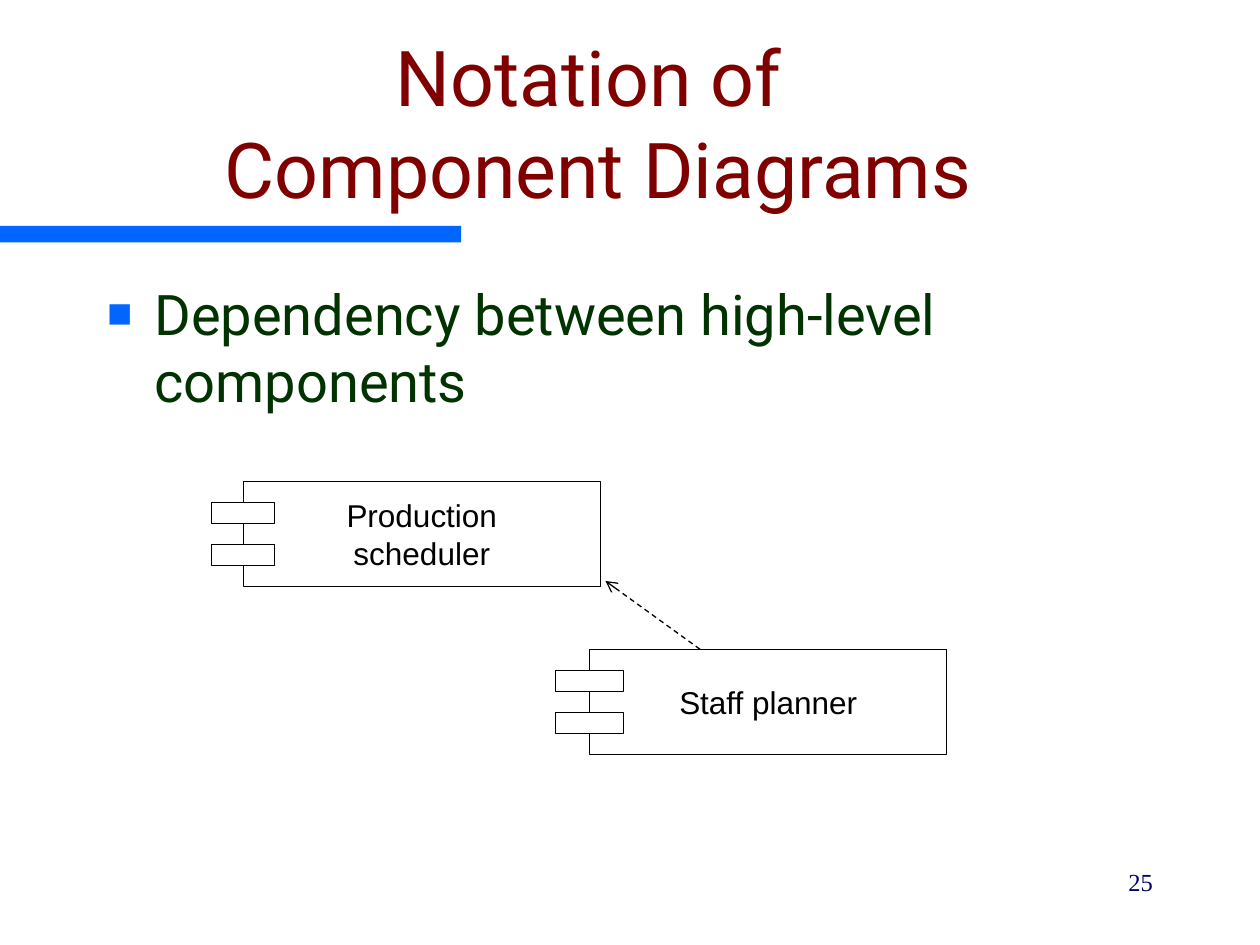
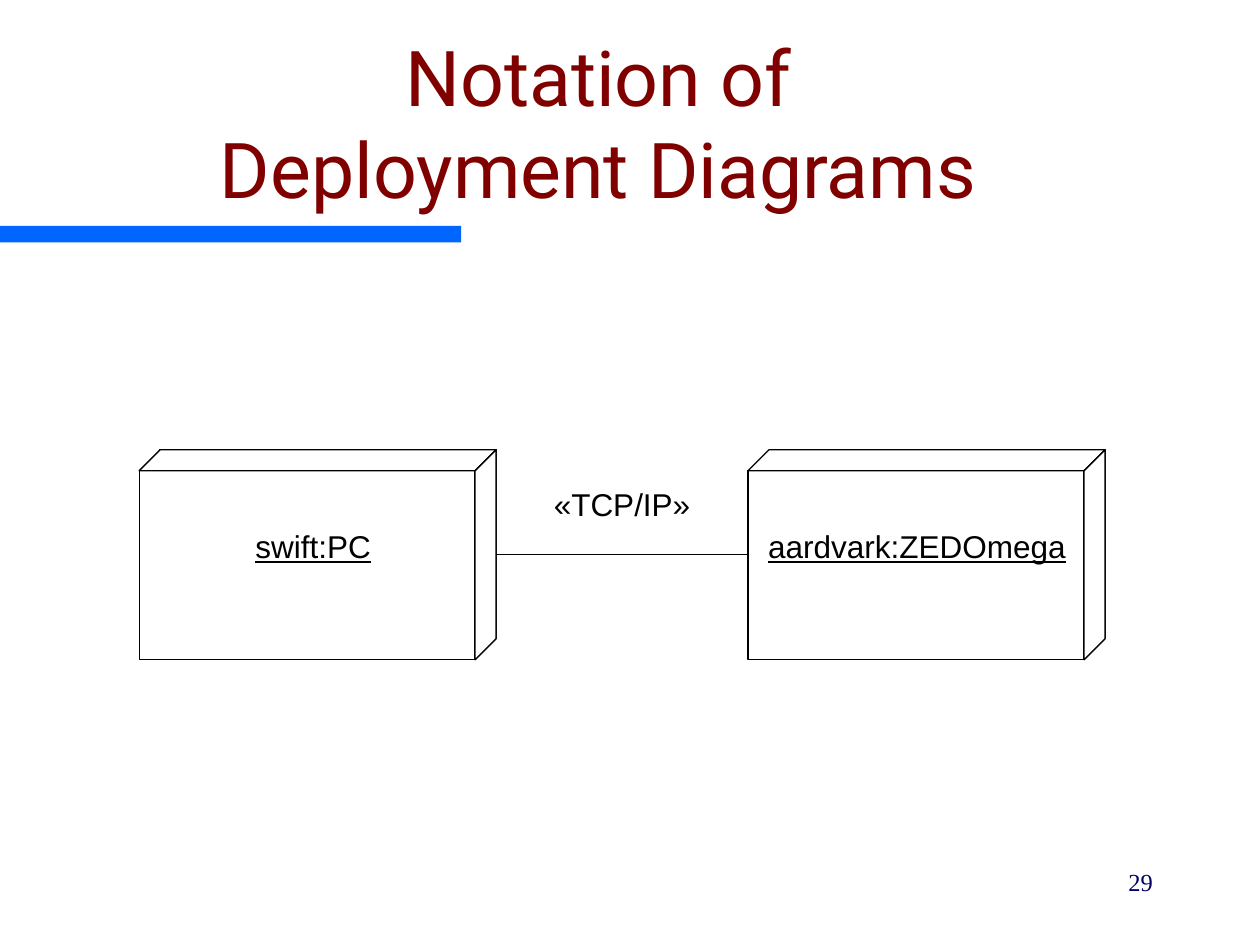
from dataclasses import dataclass

from lxml import etree
from pptx import Presentation
from pptx.dml.color import RGBColor
from pptx.enum.dml import MSO_LINE
from pptx.enum.shapes import MSO_CONNECTOR, MSO_SHAPE
from pptx.enum.text import MSO_ANCHOR, MSO_AUTO_SIZE, PP_ALIGN
from pptx.oxml.ns import qn
from pptx.util import Pt

RECT = MSO_SHAPE.RECTANGLE
SLANT = MSO_SHAPE.PARALLELOGRAM
LINE = MSO_CONNECTOR.STRAIGHT
DASH = MSO_LINE.DASH
TOP, MIDDLE, BOTTOM = MSO_ANCHOR.TOP, MSO_ANCHOR.MIDDLE, MSO_ANCHOR.BOTTOM
LEFT, CENTER, RIGHT = PP_ALIGN.LEFT, PP_ALIGN.CENTER, PP_ALIGN.RIGHT
NO_FIT = MSO_AUTO_SIZE.NONE


@dataclass(frozen=True)
class Style:
    font: str
    size: float
    color: str


@dataclass(frozen=True)
class Theme:
    title: Style = Style("Roboto", 44, "800000")
    body: Style = Style("Roboto", 32, "003300")
    label: Style = Style("Arial", 18, "000000")
    number: Style = Style("Times New Roman", 14, "000066")
    accent: str = "0066FF"
    paper: str = "FFFFFF"
    ink: str = "000000"
    stroke: float = 0.75


THEME = Theme()
DEPTH = 12  # thickness of a node's top and side faces


def rgb(code):
    return RGBColor.from_string(code)


def place(shape, box):
    shape.left, shape.top, shape.width, shape.height = map(Pt, box)


def write(shape, text, style, align=CENTER, anchor=TOP, underline=None):
    frame = shape.text_frame
    frame.text = text
    frame.word_wrap = True
    frame.auto_size = NO_FIT
    frame.vertical_anchor = anchor
    for para in frame.paragraphs:
        para.alignment = align
        for run in para.runs:
            font = run.font
            font.name, font.size = style.font, Pt(style.size)
            font.color.rgb = rgb(style.color)
            font.underline = underline
    return frame.paragraphs[0]


def note(slide, box, text, style, **format):
    return write(slide.shapes.add_textbox(*map(Pt, box)), text, style, **format)


def panel(slide, box, kind=RECT):
    """Add a white shape with a thin outline."""
    shape = slide.shapes.add_shape(kind, *map(Pt, box))
    shape.shadow.inherit = False
    shape.fill.solid()
    shape.fill.fore_color.rgb = rgb(THEME.paper)
    shape.line.color.rgb = rgb(THEME.ink)
    shape.line.width = Pt(THEME.stroke)
    return shape


def link(slide, start, end):
    line = slide.shapes.add_connector(LINE, *map(Pt, (*start, *end)))
    line.line.color.rgb = rgb(THEME.ink)
    line.line.width = Pt(THEME.stroke)
    etree.SubElement(line._element.spPr, qn("a:effectLst"))
    return line


def depend(slide, start, end):
    """Add a dashed line with an open arrowhead at its end."""
    line = link(slide, start, end)
    line.line.dash_style = DASH
    etree.SubElement(line.line._ln, qn("a:tailEnd"), type="arrow")


def add_band(deck, slide):
    """Put the blue band on the slide master, so that every slide shows it."""
    band = panel(slide, (0, 129, 263.5, 9.5))
    band.fill.fore_color.rgb = rgb(THEME.accent)
    band.line.fill.background()
    item = band._element
    item.nvSpPr.cNvPr.set("id", "20")
    deck.slide_master.shapes._spTree.append(item)


def add_slide(deck, layout, title, number):
    slide = deck.slides.add_slide(deck.slide_layouts.get_by_name(layout))
    place(slide.shapes.title, (18, 36, 648, 90))
    write(slide.shapes.title, title, THEME.title, anchor=BOTTOM)
    para = note(slide, (516, 492, 150, 36), number, THEME.number, align=RIGHT)
    para.space_before = Pt(8.8)
    return slide


def add_bullet(slide, box, text):
    body = slide.placeholders[1]
    place(body, box)
    body.fill.solid()
    body.fill.fore_color.rgb = rgb(THEME.paper)
    para = write(body, text, THEME.body, align=LEFT)
    para.space_before = Pt(8)
    props = para._p.get_or_add_pPr()
    props.set("marL", str(Pt(27)))
    props.set("indent", str(Pt(-27)))
    color = etree.SubElement(props, qn("a:buClr"))
    etree.SubElement(color, qn("a:srgbClr"), val=THEME.accent)
    etree.SubElement(props, qn("a:buSzPct"), val="75000")
    etree.SubElement(props, qn("a:buFont"), typeface="Arial")
    etree.SubElement(props, qn("a:buChar"), char="■")


def add_part(slide, box, text, lug):
    """Add a UML component whose two lugs straddle its left edge."""
    left, top, _, high = box
    write(panel(slide, box), text, THEME.label, anchor=MIDDLE)
    step = high / 5
    for row in (3, 1):
        panel(slide, (left - lug / 2, top + row * step, lug, step))


def add_node(slide, box, text, mid):
    """Add a UML node, a box with depth; mid is the label's centre."""
    left, top, wide, high = box
    front = wide - DEPTH, high - DEPTH
    panel(slide, (left + DEPTH, top, *front))
    panel(slide, (left, top + DEPTH, *front))
    lid = panel(slide, (left, top, wide, DEPTH), SLANT)
    side = panel(slide, (left + wide - (DEPTH + high) / 2,
                         top + (high - DEPTH) / 2, high, DEPTH), SLANT)
    side.rotation = 90
    side._element.spPr.xfrm.set("flipH", "1")
    for face in (lid, side):
        face.adjustments[0] = 1
    note(slide, (left + mid - 95, top + 40.5, 190, 29), text, THEME.label,
         underline=True)


def component_slide(deck):
    slide = add_slide(deck, "Title and Content",
                      "Notation of \vComponent Diagrams", "25")
    add_band(deck, slide)
    add_bullet(slide, (54, 156, 612, 324),
               "Dependency between high-level components")
    add_part(slide, (139, 275, 204, 60), "Production\vscheduler", 36)
    add_part(slide, (337, 371, 204, 60), "Staff planner", 39)
    depend(slide, (400, 371), (346, 332))


def deployment_slide(deck):
    slide = add_slide(deck, "Title Only",
                      "Notation of\vDeployment Diagrams", "29")
    top, wide, high = 257, 204, 120
    first, second = 79.5, 427.5
    add_node(slide, (first, top, wide, high), "swift:PC", 99.5)
    add_node(slide, (second, top, wide, high), "aardvark:ZEDOmega", 96.5)
    level = top + high / 2
    link(slide, (first + wide, level), (second, level))
    note(slide, (first + wide, 273.5, second - first - wide, 29),
         "«TCP/IP»", THEME.label)


def main():
    deck = Presentation()
    deck.slide_width, deck.slide_height = Pt(720), Pt(540)
    component_slide(deck)
    deployment_slide(deck)
    deck.save("out.pptx")


if __name__ == "__main__":
    main()
